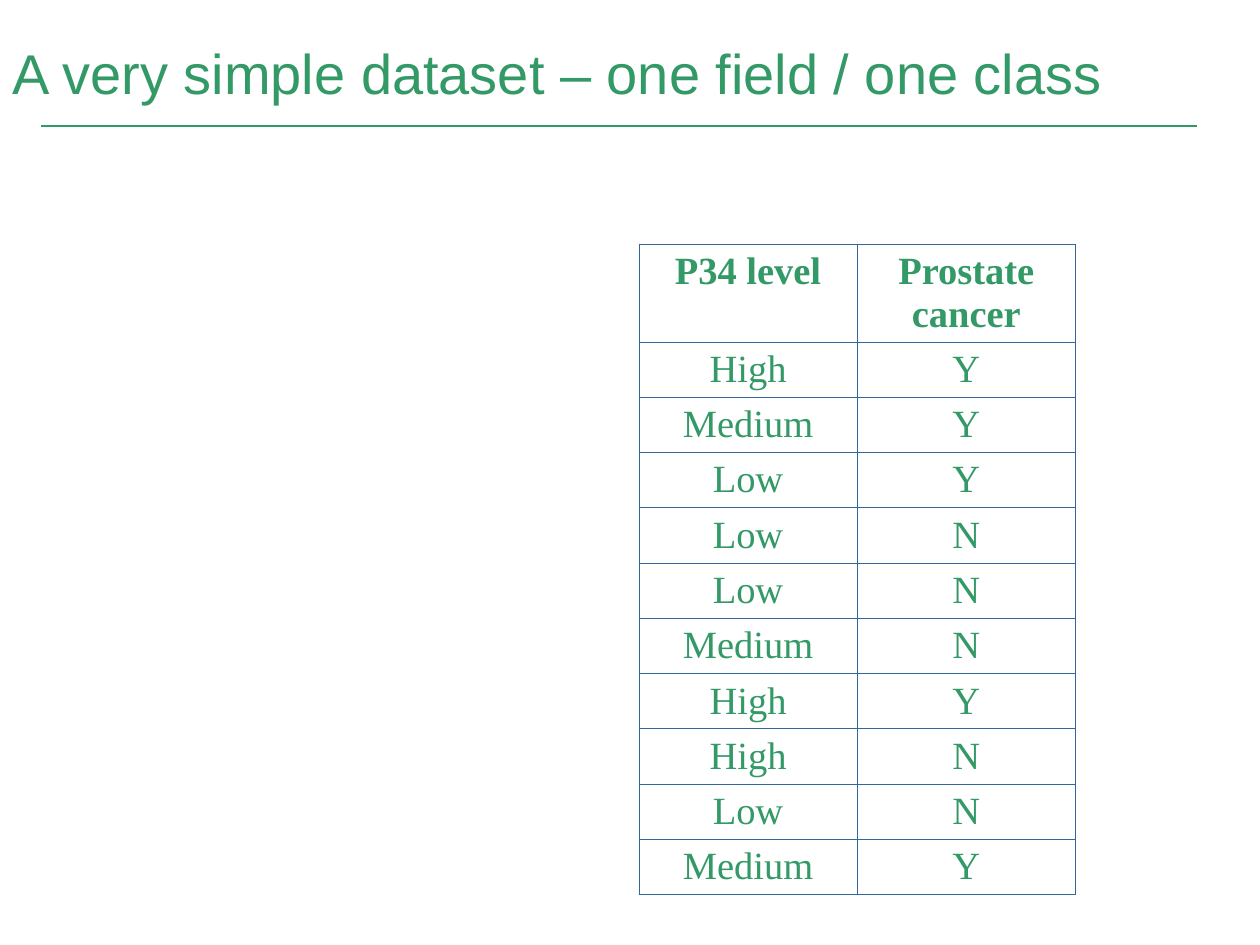
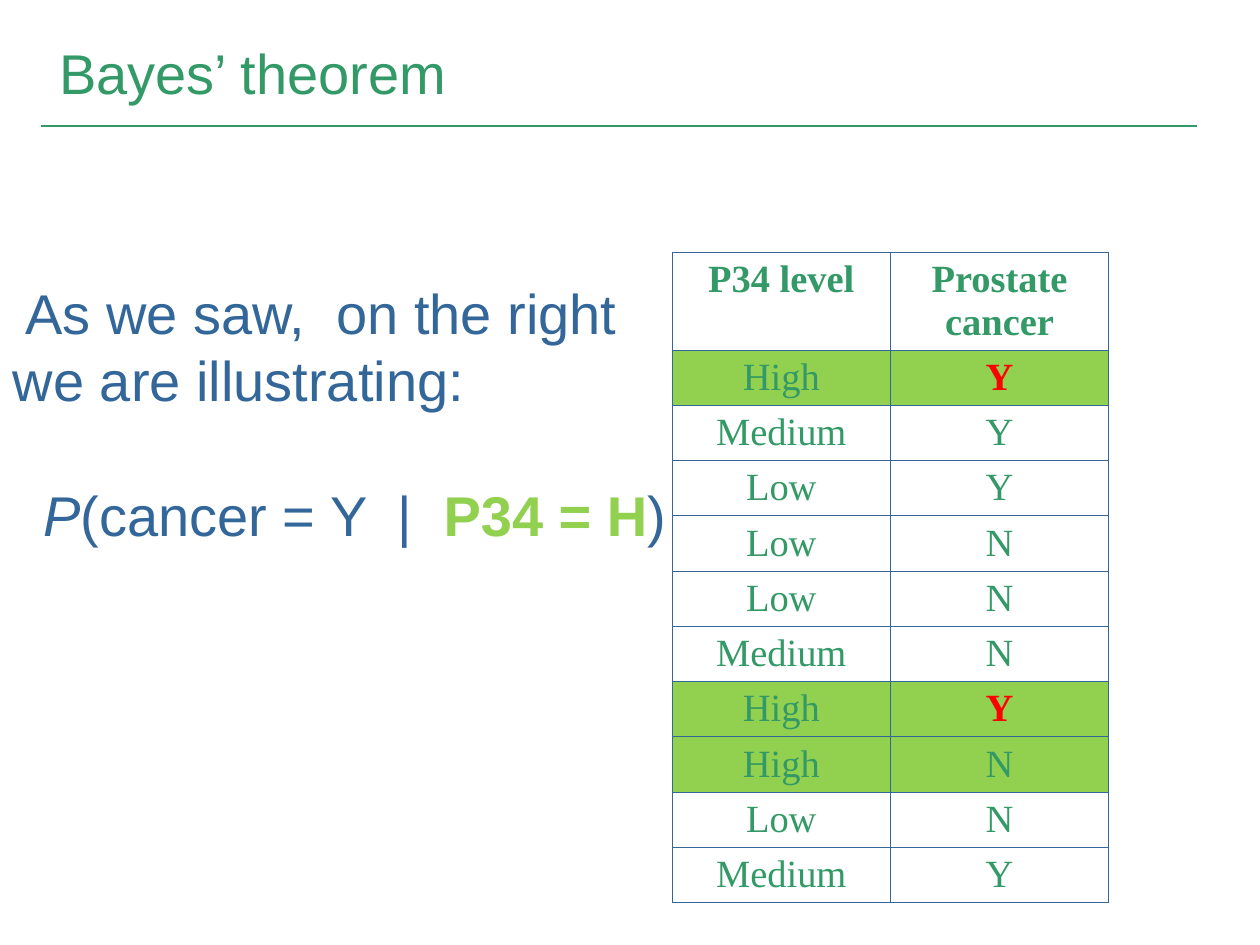
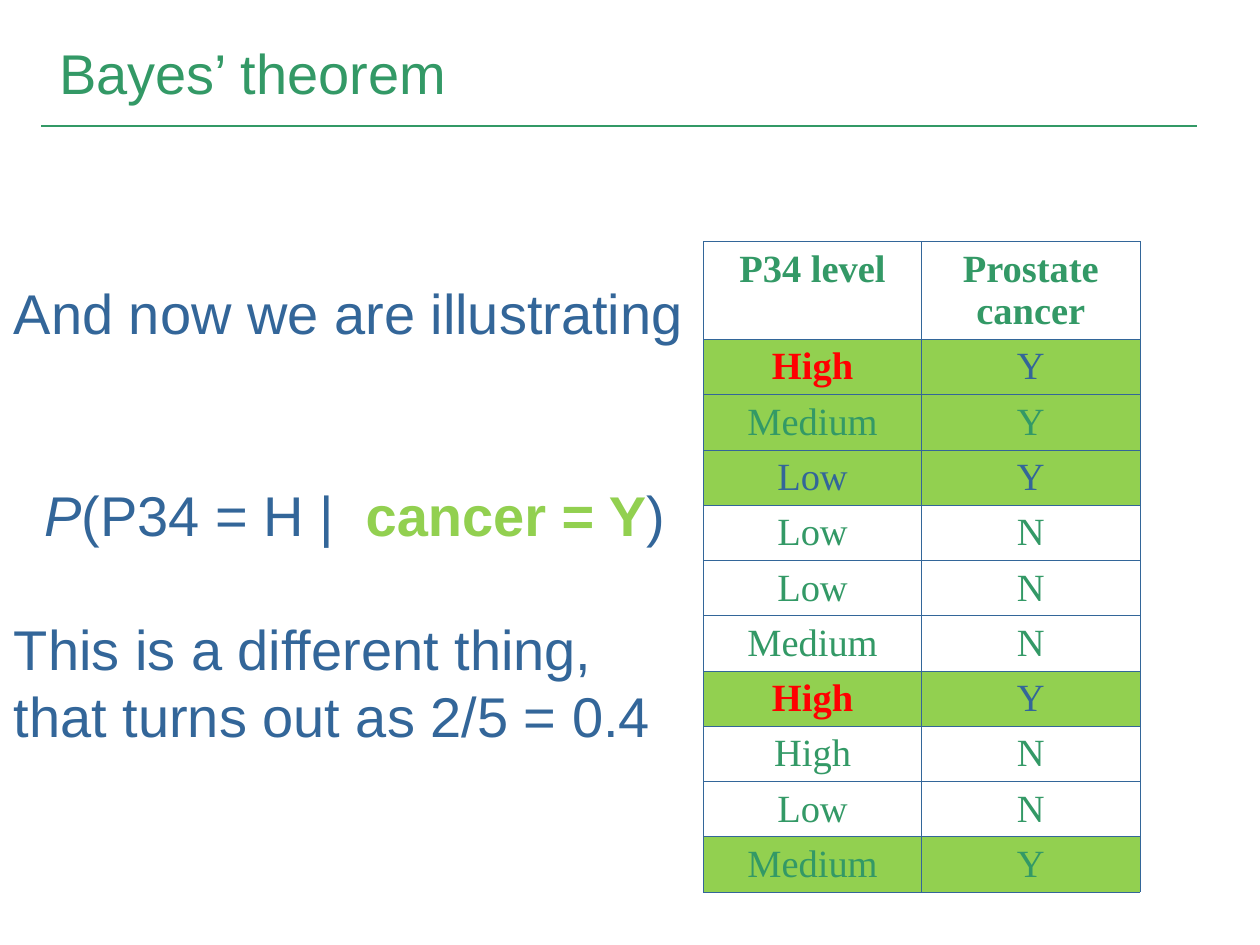
from dataclasses import dataclass

from pptx import Presentation
from pptx.dml.color import RGBColor
from pptx.enum.shapes import MSO_CONNECTOR
from pptx.enum.text import MSO_ANCHOR, MSO_AUTO_SIZE, PP_ALIGN
from pptx.oxml import parse_xml
from pptx.oxml.ns import nsdecls
from pptx.util import Cm, Pt


@dataclass(frozen=True)
class Theme:
    green: str = "339966"
    blue: str = "336699"
    lime: str = "92D050"
    red: str = "FF0000"
    white: str = "FFFFFF"
    sans: str = "Arial"
    serif: str = "Times New Roman"
    body_size: float = 32
    table_size: float = 22
    line_pitch: float = 38.4
    border: float = 0.45


T = Theme()

HEADER = ("P34 level", "Prostate cancer")
PATIENTS = [
    ("High", "Y"), ("Medium", "Y"), ("Low", "Y"), ("Low", "N"), ("Low", "N"),
    ("Medium", "N"), ("High", "Y"), ("High", "N"), ("Low", "N"), ("Medium", "Y"),
]


def add_run(p, text, font=T.sans, size=T.body_size, color=T.blue, bold=False, italic=False):
    r = p.add_run()
    r.text = text
    r.font.name = font
    r.font.size = Pt(size)
    r.font.color.rgb = RGBColor.from_string(color)
    r.font.bold = bold
    r.font.italic = italic


def add_rule(s, left, right, top):
    line = s.shapes.add_connector(MSO_CONNECTOR.STRAIGHT, Cm(left), Cm(top), Cm(right), Cm(top))
    line.line.color.rgb = RGBColor.from_string(T.green)
    line.line.width = Pt(1)
    line._element.spPr.append(parse_xml(f"<a:effectLst {nsdecls('a')}/>"))


def add_titled_slide(prs, title, left=0.94, width=24.46):
    s = prs.slides.add_slide(prs.slide_layouts[5])
    add_rule(s, 0.83, 24.14, 2.54)
    sp = s.shapes.title
    sp.left, sp.top, sp.width, sp.height = Cm(left), Cm(0), Cm(width), Cm(3.18)
    tf = sp.text_frame
    tf.auto_size = MSO_AUTO_SIZE.NONE
    tf.vertical_anchor = MSO_ANCHOR.MIDDLE
    p = tf.paragraphs[0]
    p.alignment = PP_ALIGN.LEFT
    p.line_spacing = 0.8
    add_run(p, title, color=T.green)
    return s


def set_borders(cell):
    tcPr = cell._tc.get_or_add_tcPr()
    for position, side in enumerate(("lnL", "lnR", "lnT", "lnB")):
        tcPr.insert(position, parse_xml(
            f'<a:{side} {nsdecls("a")} w="{Pt(T.border)}"><a:solidFill>'
            f'<a:srgbClr val="{T.blue}"/></a:solidFill></a:{side}>'))


def fill_cell(cell, text, fill=T.white, **run_format):
    """Each line of the text becomes a centred paragraph."""
    cell.fill.solid()
    cell.fill.fore_color.rgb = RGBColor.from_string(fill)
    set_borders(cell)
    tf = cell.text_frame
    for i, line in enumerate(text.split("\n")):
        p = tf.add_paragraph() if i else tf.paragraphs[0]
        p.alignment = PP_ALIGN.CENTER
        add_run(p, line, **{"font": T.serif, "size": T.table_size, "color": T.green, **run_format})


def add_patient_table(s, left, top, header=HEADER, given=None, event=None, blue_cells=()):
    """Shade the rows that hold the given value and mark the event in them."""
    header_height, row_height, col_width = 1.85, 0.94, 4.4
    frame = s.shapes.add_table(
        len(PATIENTS) + 1, len(header), Cm(left), Cm(top),
        Cm(col_width * len(header)), Cm(header_height + row_height * len(PATIENTS)))
    table = frame.table
    table.first_row = table.horz_banding = False
    for col in table.columns:
        col.width = Cm(col_width)
    for i, row in enumerate(table.rows):
        row.height = Cm(row_height if i else header_height)
    for j, text in enumerate(header):
        fill_cell(table.cell(0, j), text, bold=True)
    for i, patient in enumerate(PATIENTS, 1):
        shaded = given in patient
        for j, text in enumerate(patient):
            hit = shaded and text == event
            color = T.red if hit else T.blue if (i, j) in blue_cells else T.green
            fill_cell(table.cell(i, j), text, fill=T.lime if shaded else T.white,
                      color=color, bold=hit)


def add_explanation(s, left, top, width, height, lines):
    """Lines are (empty lines above, indent in cm, runs of text and format)."""
    tf = s.shapes.add_textbox(Cm(left), Cm(top), Cm(width), Cm(height)).text_frame
    tf.word_wrap = False
    tf.auto_size = MSO_AUTO_SIZE.SHAPE_TO_FIT_TEXT
    tf.margin_left = tf.margin_right = Cm(0.23)
    tf.margin_top = tf.margin_bottom = Cm(0.1)
    for i, (gap, indent, runs) in enumerate(lines):
        p = tf.add_paragraph() if i else tf.paragraphs[0]
        p.alignment = PP_ALIGN.LEFT
        if gap:
            p.space_before = Pt(gap * T.line_pitch)
        if indent:
            p._p.get_or_add_pPr().set("indent", str(Cm(indent)))
        for text, run_format in runs:
            add_run(p, text, **run_format)


def plain(text, gap=0, indent=0):
    return gap, indent, [(text, {})]


def probability(event, given, gap):
    return gap, 0.61, [("P", {"italic": True}), (f"({event}", {}),
                       (given, {"color": T.lime, "bold": True}), (")", {})]


def build_dataset_slide(prs):
    s = add_titled_slide(prs, "A very simple dataset – one field / one class", 0, 26.24)
    add_patient_table(s, 12.88, 4.92, header=("P34 level", "Prostate\ncancer"))


def build_cancer_given_level_slide(prs):
    s = add_titled_slide(prs, "Bayes’ theorem")
    add_patient_table(s, 13.55, 5.08, given="High", event="Y")
    add_explanation(s, 0.03, 5.52, 13.69, 5.6, [
        plain("As we saw,  on the right", indent=0.25),
        plain("we are illustrating:"),
        probability("cancer = Y  |  ", "P34 = H", gap=1),
    ])


def build_level_given_cancer_slide(prs):
    s = add_titled_slide(prs, "Bayes’ theorem")
    add_patient_table(s, 14.18, 4.87, given="Y", event="High",
                      blue_cells={(1, 1), (3, 0), (3, 1), (7, 1)})
    add_explanation(s, 0.05, 5.52, 13.98, 9.66, [
        plain("And now we are illustrating"),
        probability("P34 = H |  ", "cancer = Y", gap=2),
        plain("This is a different thing,", gap=1),
        plain("that turns out as 2/5 = 0.4"),
    ])


def main():
    prs = Presentation()
    prs.slide_width, prs.slide_height = Cm(25.4), Cm(19.05)
    build_dataset_slide(prs)
    build_cancer_given_level_slide(prs)
    build_level_given_cancer_slide(prs)
    prs.save("out.pptx")


if __name__ == "__main__":
    main()
